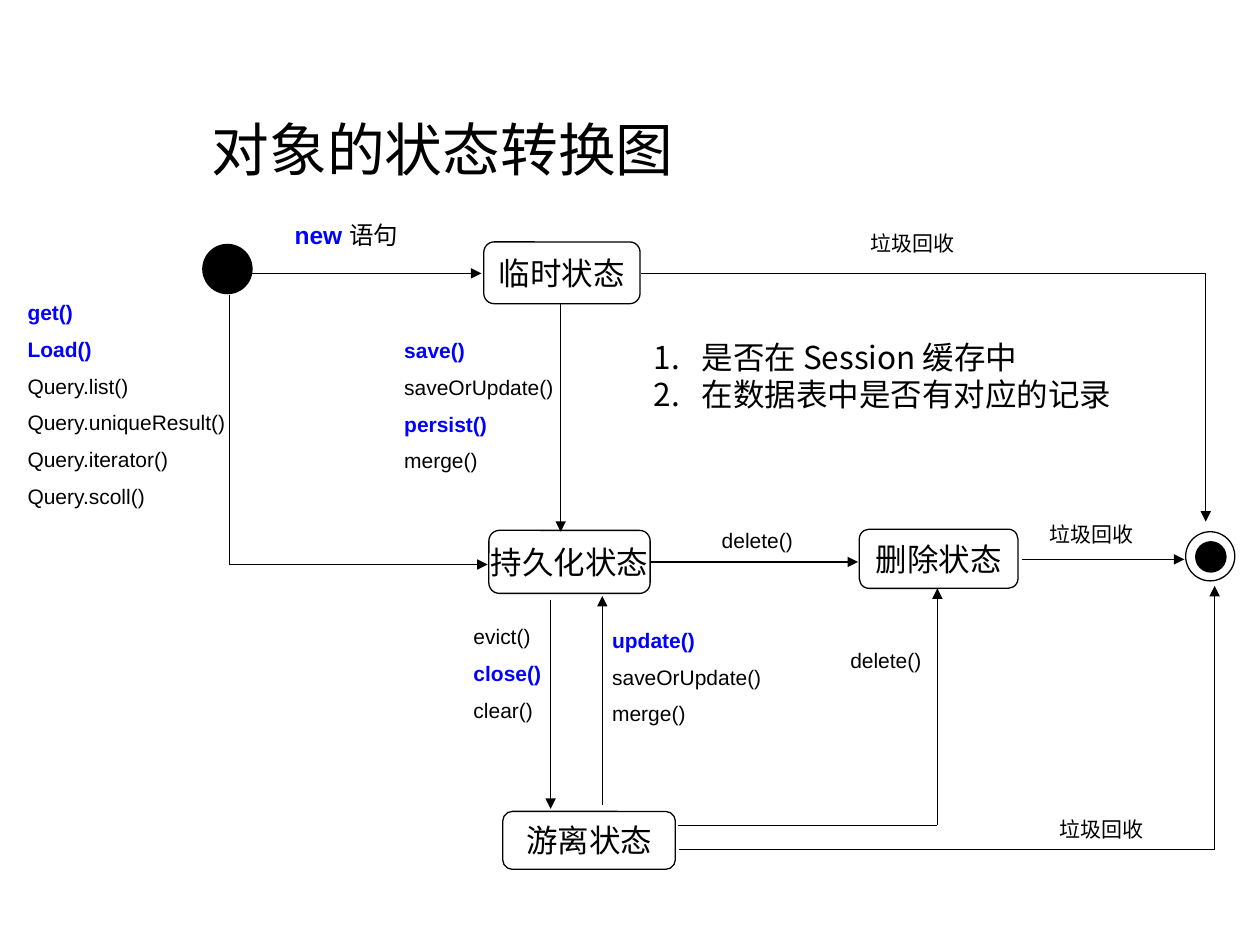
from dataclasses import dataclass
from itertools import pairwise

from lxml import etree
from pptx import Presentation
from pptx.dml.color import RGBColor
from pptx.enum.shapes import MSO_CONNECTOR, MSO_SHAPE
from pptx.enum.text import MSO_ANCHOR, MSO_AUTO_SIZE, PP_ALIGN
from pptx.oxml.ns import qn
from pptx.util import Inches, Pt

STRAIGHT = MSO_CONNECTOR.STRAIGHT
OVAL, ROUNDED = MSO_SHAPE.OVAL, MSO_SHAPE.ROUNDED_RECTANGLE
MIDDLE, CENTER, LEFT = MSO_ANCHOR.MIDDLE, PP_ALIGN.CENTER, PP_ALIGN.LEFT
FIT_SHAPE = MSO_AUTO_SIZE.SHAPE_TO_FIT_TEXT
BLACK, BLUE = "000000", "0000FF"
TITLE_FONT, LABEL_FONT, STATE_FONT = "Courier New", "Arial", "Noto Sans CJK SC"
LINE_WIDTH = Pt(0.75)


@dataclass(frozen=True)
class Box:
    left: float
    top: float
    width: float
    height: float

    def lengths(self) -> list:
        return [Inches(v) for v in (self.left, self.top, self.width, self.height)]


@dataclass(frozen=True)
class State:
    name: str
    box: Box


@dataclass(frozen=True)
class Label:
    """Lines of runs; a run starting with * is a highlighted call."""
    box: Box
    lines: tuple
    size: int = 12


def color(value: str) -> RGBColor:
    return RGBColor.from_string(value)


def add_run(paragraph, text: str, size: float, font: str,
            value: str = BLACK, bold: bool = False) -> None:
    run = paragraph.add_run()
    run.text = text
    run.font.size = Pt(size)
    run.font.name = font
    run.font.bold = bold
    run.font.color.rgb = color(value)


def add_outline(slide, kind, box: Box, fill: str | None = None):
    shape = slide.shapes.add_shape(kind, *box.lengths())
    shape.shadow.inherit = False
    shape.line.color.rgb = color(BLACK)
    shape.line.width = LINE_WIDTH
    if fill:
        shape.fill.solid()
        shape.fill.fore_color.rgb = color(fill)
    else:
        shape.fill.background()
    return shape


def add_state(slide, state: State) -> None:
    frame = add_outline(slide, ROUNDED, state.box).text_frame
    frame.word_wrap = False
    frame.vertical_anchor = MIDDLE
    paragraph = frame.paragraphs[0]
    paragraph.alignment = CENTER
    add_run(paragraph, state.name, 18, STATE_FONT)


def add_route(slide, points: tuple) -> None:
    """Draw straight segments through the points, with an arrowhead at the end."""
    for start, end in pairwise(points):
        connector = slide.shapes.add_connector(
            STRAIGHT, *(Inches(v) for v in (*start, *end)))
        connector.line.color.rgb = color(BLACK)
        connector.line.width = LINE_WIDTH
        properties = connector.line._get_or_add_ln()
        etree.SubElement(connector._element.spPr, qn("a:effectLst"))
    etree.SubElement(properties, qn("a:tailEnd"), type="triangle")


def add_text_frame(slide, box: Box):
    frame = slide.shapes.add_textbox(*box.lengths()).text_frame
    frame.word_wrap = True
    frame.auto_size = FIT_SHAPE
    return frame


def add_label(slide, label: Label) -> None:
    frame = add_text_frame(slide, label.box)
    for index, runs in enumerate(label.lines):
        paragraph = frame.add_paragraph() if index else frame.paragraphs[0]
        if index:
            paragraph.space_before = Pt(6.6)
        for text in runs:
            marked = text.startswith("*")
            add_run(paragraph, text.removeprefix("*"), label.size, LABEL_FONT,
                    BLUE if marked else BLACK, marked)


def add_numbered_list(slide, box: Box, items: tuple) -> None:
    frame = add_text_frame(slide, box)
    for index, item in enumerate(items):
        paragraph = frame.add_paragraph() if index else frame.paragraphs[0]
        properties = paragraph._p.get_or_add_pPr()
        properties.set("marL", str(Inches(0.38)))
        properties.set("indent", str(-Inches(0.38)))
        etree.SubElement(properties, qn("a:buFont"), typeface=STATE_FONT)
        etree.SubElement(properties, qn("a:buAutoNum"), type="arabicPeriod")
        add_run(paragraph, item, 18, STATE_FONT)


STATES = (
    State("临时状态", Box(3.84, 1.92, 1.24, 0.49)),
    State("持久化状态", Box(3.88, 4.21, 1.28, 0.5)),
    State("游离状态", Box(3.99, 6.44, 1.37, 0.46)),
    State("删除状态", Box(6.82, 4.2, 1.26, 0.47)),
)

ROUTES = (
    ((1.93, 2.17), (3.82, 2.17)),                # start to transient
    ((1.82, 2.34), (1.82, 4.48), (3.87, 4.48)),  # start to persistent
    ((4.45, 2.41), (4.45, 4.22)),                # transient to persistent
    ((4.37, 4.76), (4.37, 6.42)),                # persistent to detached
    ((4.78, 6.39), (4.78, 4.73)),                # detached to persistent
    ((5.16, 4.46), (6.81, 4.46)),                # persistent to removed
    ((5.38, 6.55), (7.44, 6.55), (7.44, 4.67)),  # detached to removed
    ((5.39, 6.74), (9.64, 6.74), (9.64, 4.65)),  # detached to end
    ((8.11, 4.44), (9.4, 4.44)),                 # removed to end
    ((5.09, 2.17), (9.57, 2.17), (9.57, 4.14)),  # transient to end
)

DELETE = (("delete()",),)
COLLECT = (("垃圾回收",),)
LABELS = (
    Label(Box(2.24, 1.7, 1.34, 0.33), (("*new ", "语句"),), 14),
    Label(Box(0.12, 2.33, 1.89, 1.8), (
        ("*get()",), ("*Load()",), ("Query.list()",), ("Query.uniqueResult()",),
        ("Query.iterator()",), ("Query.scoll()",))),
    Label(Box(3.11, 2.63, 1.49, 1.2), (
        ("*save()",), ("saveOrUpdate()",), ("*persist()",), ("merge()",))),
    Label(Box(3.66, 4.9, 0.87, 0.9), (("evict()",), ("*close()",), ("clear()",))),
    Label(Box(4.76, 4.93, 1.42, 0.91), (
        ("*update()",), ("saveOrUpdate()",), ("merge()",))),
    Label(Box(6.65, 5.09, 0.87, 0.3), DELETE),
    Label(Box(5.63, 4.14, 0.87, 0.3), DELETE),
    Label(Box(6.81, 1.78, 1.1, 0.3), COLLECT),
    Label(Box(8.23, 4.09, 1.1, 0.3), COLLECT),
    Label(Box(8.31, 6.43, 1.1, 0.3), COLLECT),
)


def main() -> None:
    presentation = Presentation()
    presentation.slide_width, presentation.slide_height = Inches(10), Inches(7.5)
    slide = presentation.slides.add_slide(presentation.slide_layouts[5])

    # Title
    title = slide.shapes.title
    title.left, title.top, title.width, title.height = Box(1.58, 0.59, 8.5, 1.25).lengths()
    title.text_frame.vertical_anchor = MIDDLE
    paragraph = title.text_frame.paragraphs[0]
    paragraph.alignment = LEFT
    paragraph.line_spacing = 0.9
    add_run(paragraph, "对象的状态转换图", 33, TITLE_FONT)

    # States with the start and end markers
    for state in STATES:
        add_state(slide, state)
    add_outline(slide, OVAL, Box(1.61, 1.94, 0.39, 0.39), BLACK)
    add_outline(slide, OVAL, Box(9.49, 4.3, 0.24, 0.24), BLACK)
    add_outline(slide, OVAL, Box(9.41, 4.22, 0.39, 0.39))

    # Transitions and their labels
    for route in ROUTES:
        add_route(slide, route)
    for label in LABELS:
        add_label(slide, label)

    # Criteria
    add_numbered_list(slide, Box(5.09, 2.63, 3.93, 0.71),
                      ("是否在 Session 缓存中", "在数据表中是否有对应的记录"))

    presentation.save("out.pptx")


if __name__ == "__main__":
    main()
